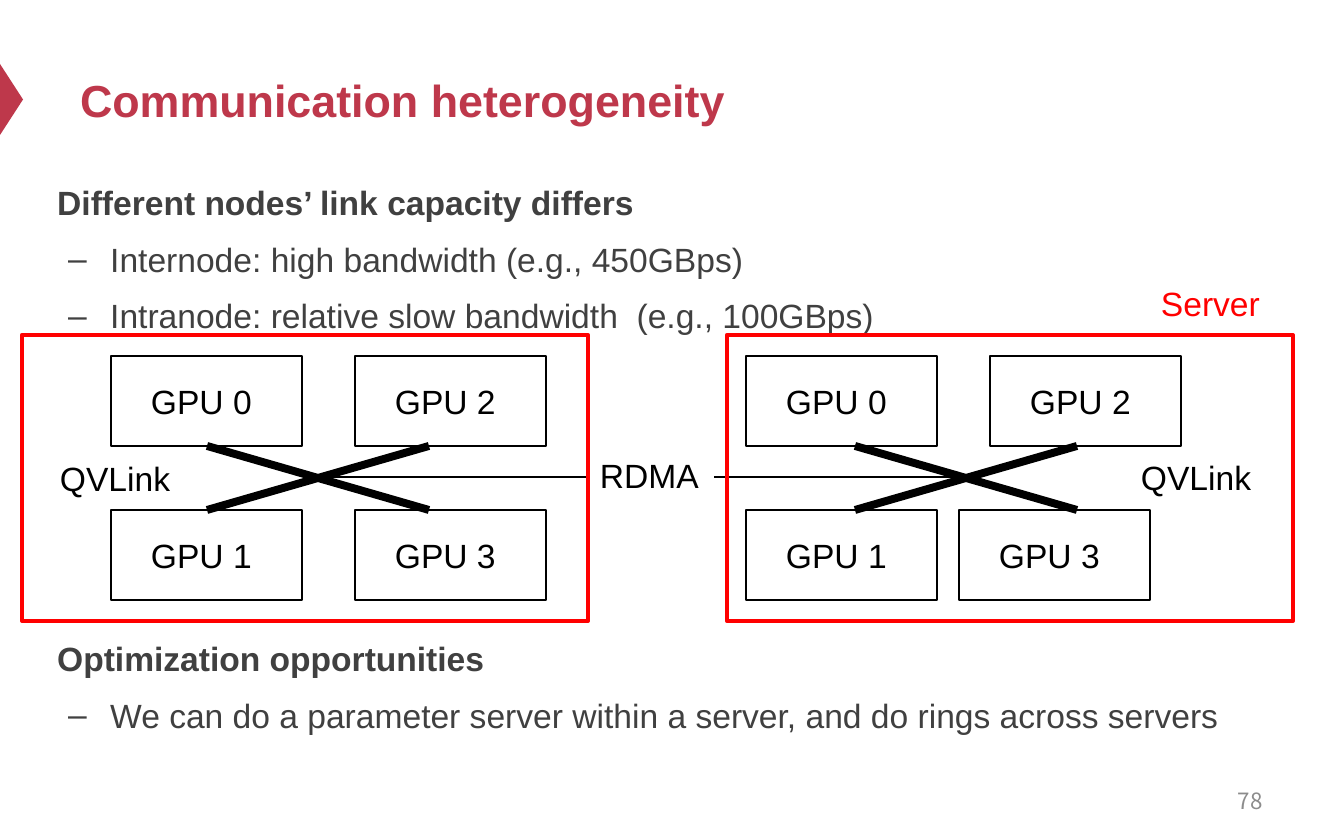
from lxml.etree import SubElement
from pptx import Presentation
from pptx.dml.color import RGBColor
from pptx.enum.shapes import MSO_CONNECTOR as Connector, MSO_SHAPE as Shape
from pptx.enum.text import MSO_ANCHOR as Anchor, PP_ALIGN as Align
from pptx.oxml.ns import qn
from pptx.util import Emu, Pt

# Content
TITLE = "Communication heterogeneity"
PAGE = "78"
SECTIONS = [  # top, heading, points
    (167, "Different nodes’ link capacity differs",
     ["Internode: high bandwidth (e.g., 450GBps)",
      "Intranode: relative slow bandwidth  (e.g., 100GBps)"]),
    (623, "Optimization opportunities",
     ["We can do a parameter server within a server, and do rings across servers"]),
]
ROWS = (356, 510)
SERVERS = [  # GPU left edges by column and row, left edge of links and of frame
    {"gpus": ((111, 111), (355, 355)), "links": 207, "frame": 22},
    {"gpus": ((746, 746), (990, 959)), "links": 855, "frame": 727},
]
LABELS = [  # text, left, top, width, colour
    ("QVLink", 1128, 450, 200, "black"),
    ("QVLink", 47, 451, 200, "black"),
    ("Server", 1148, 276, 180, "red"),
]
COLORS = {"accent": "BE384B", "body": "404040", "page": "8C8C8C",
          "black": "000000", "red": "FF0000", "white": "FFFFFF"}
FONT = "Arial"
GPU_W, GPU_H = 191, 90
LINK_W = 222
FRAME_W, FRAME_H = 566, 286
LABEL_H = 54
INSET = 13


def px(n):
    return Emu(round(n * 914400 / 134.4))


def color(name):
    return RGBColor.from_string(COLORS[name])


def style(paragraph, tint, size=18, bold=False, font=FONT):
    for run in paragraph.runs:
        run.font.name, run.font.size, run.font.bold = font, Pt(size), bold
        run.font.color.rgb = color(tint)


def add_box(left, top, width, height, fill=None, line=None, weight=1, kind=Shape.RECTANGLE):
    box = slide.shapes.add_shape(kind, px(left), px(top), px(width), px(height))
    box.shadow.inherit = False
    if fill:
        box.fill.solid()
        box.fill.fore_color.rgb = color(fill)
    else:
        box.fill.background()
    if line:
        box.line.color.rgb = color(line)
        box.line.width = Pt(weight)
    else:
        box.line.fill.background()
    return box


def write(box, text, tint="black", inset=INSET, align=Align.LEFT, **look):
    frame = box.text_frame
    frame.text = text
    frame.word_wrap = True
    frame.vertical_anchor = Anchor.MIDDLE
    frame.margin_left = px(inset)
    frame.paragraphs[0].alignment = align
    style(frame.paragraphs[0], tint, **look)


def add_label(text, left, top, width, tint, **look):
    label = slide.shapes.add_textbox(px(left), px(top), px(width), px(LABEL_H))
    write(label, text, tint, **look)


def add_link(x1, y1, x2, y2, weight):
    link = slide.shapes.add_connector(Connector.STRAIGHT, px(x1), px(y1), px(x2), px(y2))
    link.line.color.rgb = color("black")
    link.line.width = Pt(weight)
    SubElement(link._element.spPr, qn("a:effectLst"))


def add_section(top, heading, points):
    section = slide.shapes.add_textbox(px(44), px(top), px(1210), px(170))
    frame = section.text_frame
    frame.word_wrap = True
    frame.text = "\n".join([heading, *points])
    for i, paragraph in enumerate(frame.paragraphs):
        if i:
            props = paragraph._p.get_or_add_pPr()
            props.set("marL", str(px(53)))
            props.set("indent", str(px(-42)))
            SubElement(props, qn("a:buFont"), typeface=FONT)
            SubElement(props, qn("a:buChar"), char="–")
            paragraph.space_before = Pt(4.5)
        paragraph.line_spacing = 1.2
        style(paragraph, "body", bold=i == 0)


prs = Presentation()
prs.slide_width, prs.slide_height = px(1344), px(840)
slide = prs.slides.add_slide(prs.slide_layouts[5])

# Title and its marker
marker = add_box(-24, 88, 71, 23, fill="accent", kind=Shape.ISOSCELES_TRIANGLE)
marker.rotation = 90
title = slide.shapes.title
title.left, title.top, title.width, title.height = px(67), px(34), px(1210), px(132)
write(title, TITLE, "accent", size=24, bold=True)

# Text sections and page number
for section in SECTIONS:
    add_section(*section)
add_label(PAGE, 964, 774, 312, "page", align=Align.RIGHT, size=12, font="Noto Sans CJK SC")

# GPUs, numbered down each column
for server in SERVERS:
    for column, lefts in enumerate(server["gpus"]):
        for row, left in enumerate(lefts):
            gpu = add_box(left, ROWS[row], GPU_W, GPU_H, line="black")
            write(gpu, f"GPU {2 * column + row}", inset=40)

# Crossed links within each server, and one line between servers
upper, lower = ROWS[0] + GPU_H, ROWS[1]
for server in SERVERS:
    left, right = server["links"], server["links"] + LINK_W
    add_link(left, upper, right, lower, 4.25)
    add_link(left, lower, right, upper, 4.25)
add_link(319, 477, 958, 477, 1)

# Labels
rdma = add_box(587, 448, 127, LABEL_H, fill="white")
write(rdma, "RDMA")
for label in LABELS:
    add_label(*label)

# Server frames
for server in SERVERS:
    add_box(server["frame"], 335, FRAME_W, FRAME_H, line="red", weight=2.25)

prs.save("out.pptx")
